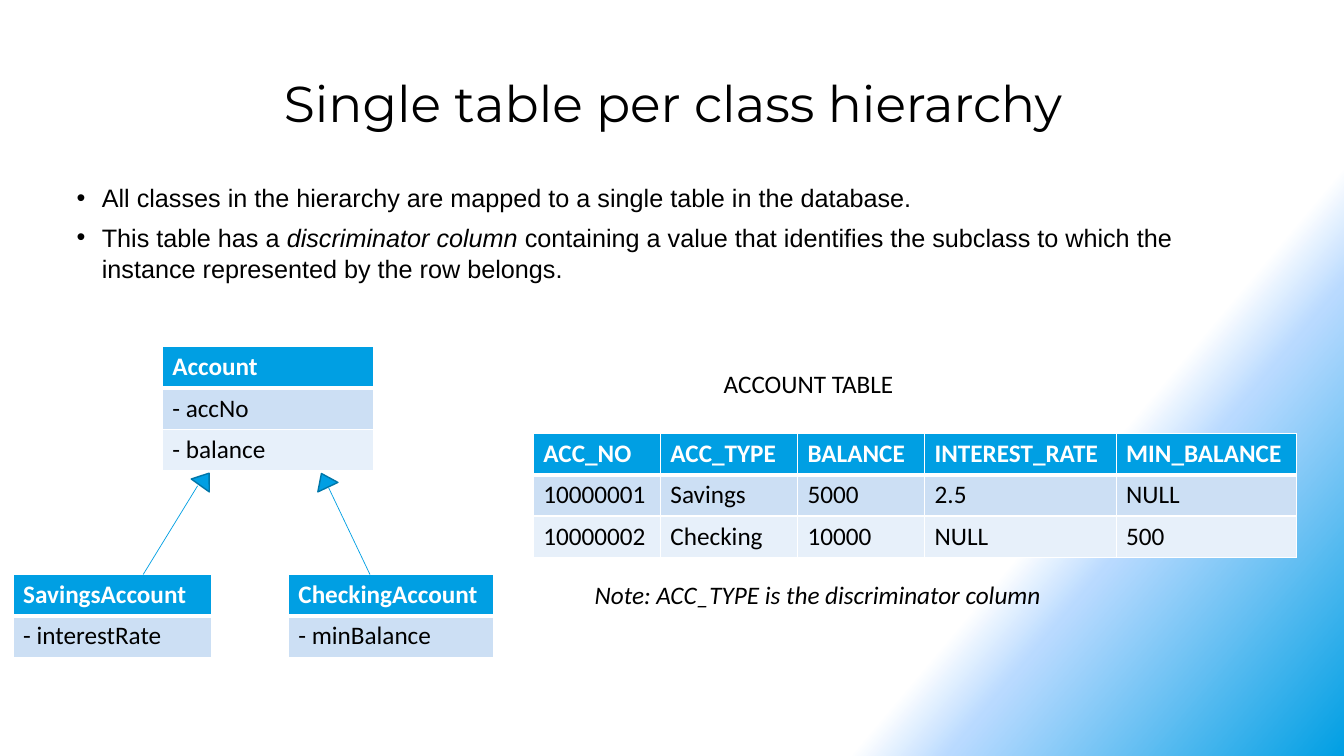
from lxml import etree
from pptx import Presentation
from pptx import util as u
from pptx.dml.color import RGBColor
from pptx.enum import shapes, text
from pptx.oxml import parse_xml
from pptx.oxml.ns import qn, nsdecls

BLUE, EDGE, BLACK, WHITE = "009FE3", "0076A8", "000000", "FFFFFF"
BANDS = ["CCDFF4", "E7F0FA"]
ROW, SIZE, FONT = 0.41, 18, "Calibri"
LEFT, WIDE = 0.66, 12.03

HEAD = "Single table per class hierarchy"
POINTS = [
    [("All classes in the hierarchy are mapped to a single table in the database.", False)],
    [("This table has a\u00a0", False),
     ("discriminator column", True),
     ("\u00a0containing a value that identifies the subclass to which the "
      "instance represented by the row belongs.", False)],
]
TABLES = [
    (1.61, 3.44, [2.1], [["Account"], ["- accNo"], ["- balance"]]),
    (2.86, 5.7, [2.04], [["CheckingAccount"], ["- minBalance"]]),
    (0.13, 5.7, [1.97], [["SavingsAccount"], ["- interestRate"]]),
    (5.29, 4.3, [1.26, 1.36, 1.26, 1.9, 1.79], [
        ["ACC_NO", "ACC_TYPE", "BALANCE", "INTEREST_RATE", "MIN_BALANCE"],
        ["10000001", "Savings", "5000", "2.5", "NULL"],
        ["10000002", "Checking", "10000", "NULL", "500"],
    ]),
]
ARROWS = [
    ((1.42, 5.7, 1.96, 4.82), (1.92, 4.68), 35.6),
    ((3.67, 5.7, 3.26, 4.84), (3.11, 4.69), 334.7),
]
LABELS = [
    ("ACCOUNT TABLE", 7.08, 3.6, 3.93, False),
    ("Note: ACC_TYPE is the discriminator column", 5.8, 5.7, 6.25, True),
]
STOPS = [(75, WHITE, 100), (80, "B9DAFF", 50), (100, BLUE, 100)]


def rgb(code):
    return RGBColor.from_string(code)


def inch(*nums):
    return [u.Inches(n) for n in nums]


def write(para, words, size=SIZE, face=FONT, tone=BLACK, bold=False, slant=False):
    run = para.add_run()
    run.text = words
    font = run.font
    font.size, font.name = u.Pt(size), face
    font.bold, font.italic = bold, slant
    font.color.rgb = rgb(tone)


def place(item, *box):
    item.left, item.top, item.width, item.height = inch(*box)
    frame = item.text_frame
    frame.word_wrap = True
    frame.auto_size = text.MSO_AUTO_SIZE.NONE
    frame.vertical_anchor = text.MSO_ANCHOR.TOP
    return frame


def border(cell, row):
    widths = {"L": 1, "R": 1, "T": 3 if row == 1 else 1, "B": 1 if row else 3}
    for side, wide in widths.items():
        line = etree.SubElement(cell._tc.get_or_add_tcPr(), qn("a:ln" + side), w=str(u.Pt(wide)))
        fill = etree.SubElement(line, qn("a:solidFill"))
        etree.SubElement(fill, qn("a:srgbClr"), val=WHITE)


def grid(left, top, cols, rows):
    box = inch(left, top, sum(cols), ROW * len(rows))
    table = slide.shapes.add_table(len(rows), len(cols), *box).table
    for col, wide in zip(table.columns, cols):
        col.width = u.Inches(wide)
    for r, row in enumerate(rows):
        table.rows[r].height = u.Inches(ROW)
        for c, words in enumerate(row):
            cell = table.cell(r, c)
            border(cell, r)
            cell.fill.solid()
            cell.fill.fore_color.rgb = rgb(BANDS[(r - 1) % 2] if r else BLUE)
            write(cell.text_frame.paragraphs[0], words, tone=BLACK if r else WHITE, bold=r == 0)


def arrow(ends, spot, turn):
    line = slide.shapes.add_connector(shapes.MSO_CONNECTOR.STRAIGHT, *inch(*ends))
    line.line.color.rgb, line.line.width = rgb(BLUE), u.Pt(0.5)
    etree.SubElement(line._element.spPr, qn("a:effectLst"))
    tip = slide.shapes.add_shape(shapes.MSO_SHAPE.ISOSCELES_TRIANGLE, *inch(*spot, 0.22, 0.15))
    tip.rotation = turn
    tip.shadow.inherit = False
    tip.fill.solid()
    tip.fill.fore_color.rgb = rgb(BLUE)
    tip.line.color.rgb, tip.line.width = rgb(EDGE), u.Pt(1)


deck = Presentation()
deck.slide_width, deck.slide_height = inch(13.33, 7.5)
slide = deck.slides.add_slide(deck.slide_layouts[1])

back = slide.background.fill
back.gradient()
back.gradient_angle = 320
marks = slide.background._cSld.find(".//" + qn("a:gsLst"))
for old in list(marks):
    marks.remove(old)
for spot, tone, alpha in STOPS:
    marks.append(parse_xml(
        f'<a:gs {nsdecls("a")} pos="{spot * 1000}"><a:srgbClr val="{tone}">'
        f'<a:alpha val="{alpha * 1000}"/></a:srgbClr></a:gs>'))
marks.getnext().set("scaled", "0")

title = place(slide.shapes.title, LEFT, 0.67, WIDE, 1.22).paragraphs[0]
title.alignment = text.PP_ALIGN.CENTER
write(title, HEAD, 36, "Montserrat")

body = place(slide.placeholders[1], LEFT, 1.75, WIDE, 5.11)
for n, point in enumerate(POINTS):
    para = body.add_paragraph() if n else body.paragraphs[0]
    para.space_before, para.space_after = u.Pt(0), u.Pt(6)
    para.line_spacing = 1.03
    props = para._p.get_or_add_pPr()
    props.set("marL", str(u.Inches(0.25)))
    props.set("indent", str(u.Inches(-0.25)))
    etree.SubElement(props, qn("a:buChar"), char="\u2022")
    for words, slant in point:
        write(para, words, face="Arial", slant=slant)

for left, top, cols, rows in TABLES:
    grid(left, top, cols, rows)
for ends, spot, turn in ARROWS:
    arrow(ends, spot, turn)
for words, left, top, wide, slant in LABELS:
    frame = place(slide.shapes.add_textbox(0, 0, 0, 0), left, top, wide, 0.4)
    frame.auto_size = text.MSO_AUTO_SIZE.SHAPE_TO_FIT_TEXT
    write(frame.paragraphs[0], words, slant=slant)

deck.save("out.pptx")
